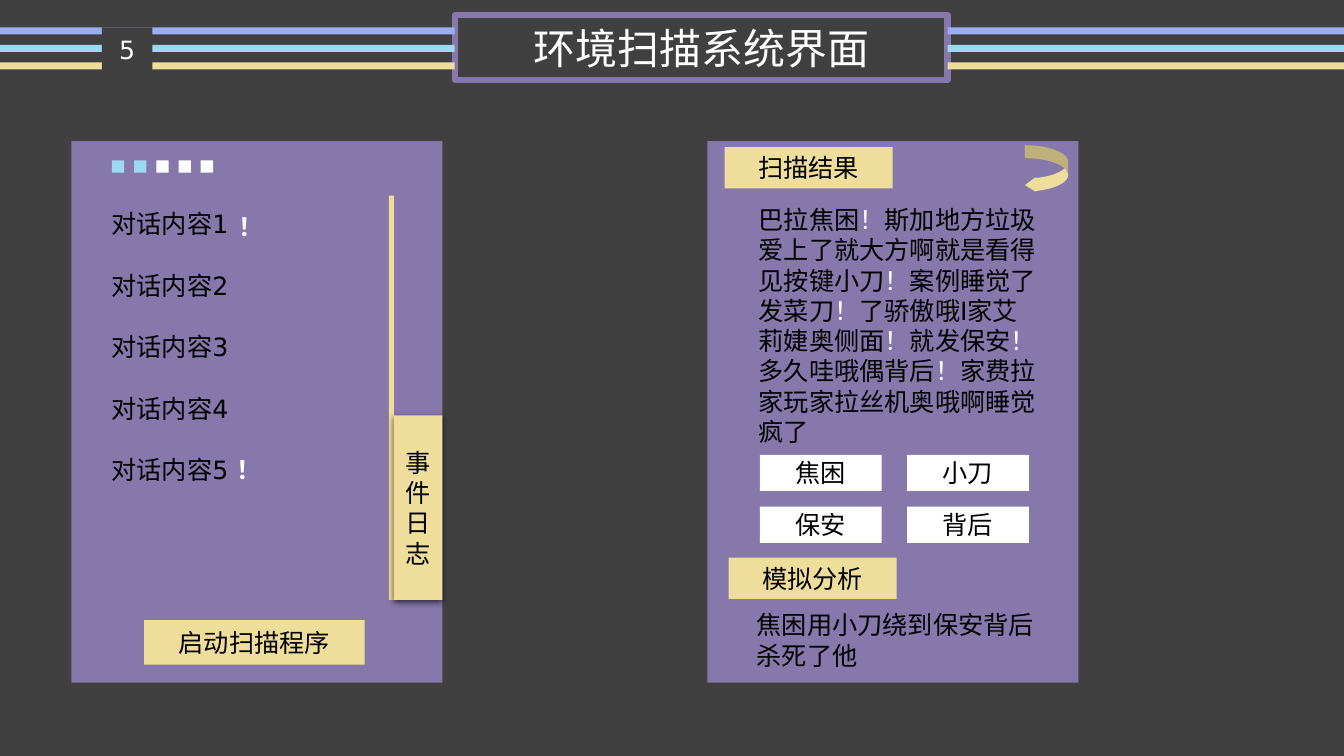
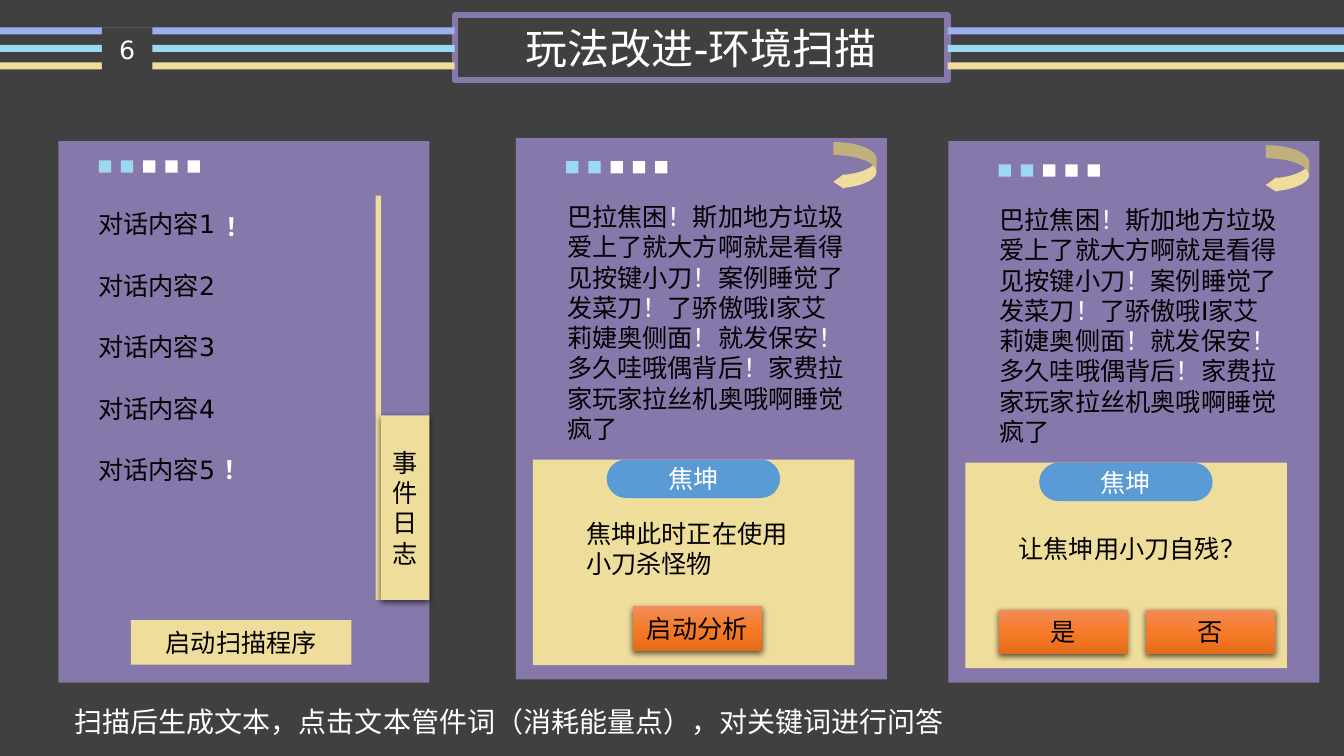
from pptx import Presentation
from pptx.dml.color import RGBColor
from pptx.enum.shapes import MSO_SHAPE
from pptx.enum.text import MSO_ANCHOR, MSO_AUTO_SIZE, PP_ALIGN
from pptx.oxml import parse_xml
from pptx.oxml.ns import nsdecls, qn
from pptx.util import Cm, Pt

RECT = MSO_SHAPE.RECTANGLE
PILL = MSO_SHAPE.ROUNDED_RECTANGLE
TURN = MSO_SHAPE.CURVED_LEFT_ARROW
MID, TOP = MSO_ANCHOR.MIDDLE, MSO_ANCHOR.TOP
MIDDLE, LEFT = PP_ALIGN.CENTER, PP_ALIGN.LEFT

FONT = "DejaVu Sans"
DARK, WHITE, BLACK = "404040", "FFFFFF", "000000"
VIOLET, SKY, CREAM, BLUE = "8678AB", "9CD8F0", "EFDD9C", "5B9BD5"
BANDS = ["9CAEF0", SKY, CREAM]
ORANGE = [(0, "F18C57"), (50, "F67B28"), (100, "E56C19")]

WIDTH, HEIGHT = 33.87, 19.05
HEAD = (11.46, 0.38, 12.42, 1.63)
PANEL = (9.35, 13.64)

TALKS = ["对话内容1", "对话内容2", "对话内容3", "对话内容4", "对话内容5"]
MARKS = [(3.96, 1.65), (3.91, 7.77)]
REPORT = [
    "巴拉焦困",
    "斯加地方垃圾爱上了就大方啊就是看得见按键小刀",
    "案例睡觉了发菜刀",
    "了骄傲哦I家艾莉婕奥侧面",
    "就发保安",
    "多久哇哦偶背后",
    "家费拉家玩家拉丝机奥哦啊睡觉疯了",
]
TAGS = [("扫描结果", 0.43, 0.15), ("模拟分析", 0.53, 10.49)]
WORDS = ["焦困", "小刀", "保安", "背后"]
RESULT = "焦困用小刀绕到保安背后杀死了他"
ASKS = [
    {"at": (13, 3.48), "text": "焦坤此时正在使用小刀杀怪物", "top": 9.45,
     "keys": ["启动分析"], "left": 2.95},
    {"at": (23.9, 3.56), "text": "让焦坤用小刀自残？", "top": 9.75,
     "keys": ["是", "否"], "left": 1.27},
]
NOTE = "扫描后生成文本，点击文本管件词（消耗能量点），对关键词进行问答"


def paint(code):
    return RGBColor.from_string(code)


def write(shape, runs, size=18, align=LEFT, anchor=TOP, bold=False):
    frame = shape.text_frame
    frame.word_wrap = True
    frame.auto_size = MSO_AUTO_SIZE.NONE
    frame.vertical_anchor = anchor
    para = frame.paragraphs[0]
    para.alignment = align
    for text, code in runs:
        run = para.add_run()
        run.text = text
        run.font.name = FONT
        run.font.size = Pt(size)
        run.font.bold = bold
        run.font.color.rgb = paint(code)
    return para


def shade(shape):
    effect = shape._element.spPr.find(qn("a:effectLst"))
    effect.append(parse_xml(
        f'<a:outerShdw {nsdecls("a")} blurRad="57150" dist="19050" dir="5400000" '
        'algn="ctr" rotWithShape="0"><a:srgbClr val="000000">'
        '<a:alpha val="63000"/></a:srgbClr></a:outerShdw>'))


def blend(shape, stops):
    shape.fill.background()
    props = shape._element.spPr
    marks = "".join(f'<a:gs pos="{pos * 1000}"><a:srgbClr val="{code}"/></a:gs>'
                    for pos, code in stops)
    props.replace(props.find(qn("a:noFill")), parse_xml(
        f'<a:gradFill {nsdecls("a")} rotWithShape="1"><a:gsLst>{marks}</a:gsLst>'
        '<a:lin ang="5400000" scaled="0"/></a:gradFill>'))


class Area:
    def __init__(self, slide, left=0, top=0):
        self.slide, self.left, self.top = slide, left, top

    def place(self, x, y, w, h):
        return Cm(self.left + x), Cm(self.top + y), Cm(w), Cm(h)

    def box(self, x, y, w, h, fill, text="", ink=BLACK, kind=RECT):
        shape = self.slide.shapes.add_shape(kind, *self.place(x, y, w, h))
        shape.shadow.inherit = False
        shape.line.fill.background()
        shape.fill.solid()
        shape.fill.fore_color.rgb = paint(fill)
        if text:
            write(shape, [(text, ink)], align=MIDDLE, anchor=MID)
        return shape

    def label(self, x, y, w, h, runs, **style):
        shape = self.slide.shapes.add_textbox(*self.place(x, y, w, h))
        return write(shape, runs, **style)

    def dots(self, x, y):
        for i in range(5):
            self.box(x + i * 0.56, y, 0.31, 0.31, SKY if i < 2 else WHITE)

    def report(self):
        runs = []
        for part in REPORT:
            runs += [(part, BLACK), ("！", WHITE)]
        self.label(1.04, 1.47, 7.49, 6.4, runs[:-1])
        arrow = self.box(8, 0.1, 1.09, 1.19, CREAM, kind=TURN)
        for i, value in enumerate((0.3, 0.341, 0.25)):
            arrow.adjustments[i] = value


def panel(slide, left, top):
    area = Area(slide, left, top)
    area.box(0, 0, *PANEL, VIOLET)
    return area


def start(deck, title, number):
    slide = deck.slides.add_slide(deck.slide_layouts[5])
    area = Area(slide)
    right = HEAD[0] + HEAD[2]
    for i, code in enumerate(BANDS):
        for x, w in ((0, HEAD[0]), (right, WIDTH - right)):
            area.box(x, 0.69 + i * 0.44, w, 0.18, code)
    head = slide.shapes.title
    head.left, head.top, head.width, head.height = area.place(*HEAD)
    head.line.color.rgb = paint(VIOLET)
    head.line.width = Pt(4.5)
    write(head, [(title, WHITE)], size=30, align=MIDDLE, anchor=MID)
    area.box(2.57, 0.69, 1.27, 1.12, DARK, number, WHITE)
    return slide


def log(slide, left):
    area = panel(slide, left, 3.56)
    area.dots(1.02, 0.48)
    for i, talk in enumerate(TALKS):
        area.label(0.76, 1.57 + i * 1.55, 5.08, 1.02, [(talk, BLACK)])
    for x, y in MARKS:
        area.label(x, y, 2, 1.02, [("！", WHITE)], bold=True)
    area.box(1.83, 12.07, 5.56, 1.12, CREAM, "启动扫描程序")
    area.box(8, 1.37, 0.13, 10.19, CREAM)
    shade(area.box(8.13, 6.91, 1.22, 4.65, CREAM, "事件日志"))


def scan(slide):
    area = panel(slide, 17.83, 3.56)
    area.report()
    for text, x, y in TAGS:
        area.box(x, y, 4.24, 1.04, CREAM, text)
    for i, word in enumerate(WORDS):
        row, col = divmod(i, 2)
        area.box(1.32 + col * 3.71, 7.9 + row * 1.31, 3.07, 0.91, WHITE, word)
    area.label(0.99, 11.68, 8.03, 1.8, [(RESULT, BLACK)])


def ask(slide, item):
    area = panel(slide, *item["at"])
    area.report()
    area.dots(1.27, 0.58)
    area.box(0.43, 8.1, 8.1, 5.18, CREAM)
    pill = area.box(2.29, 8.1, 4.37, 0.97, BLUE, "焦坤", WHITE, PILL)
    pill.adjustments[0] = 0.5
    area.label(1.52, item["top"], 5.92, 1.8, [(item["text"], BLACK)])
    for i, key in enumerate(item["keys"]):
        button = area.box(item["left"] + i * 3.71, 11.8, 3.25, 1.12, CREAM, key)
        blend(button, ORANGE)
        shade(button)


def main():
    deck = Presentation()
    deck.slide_width, deck.slide_height = Cm(WIDTH), Cm(HEIGHT)
    back = deck.slide_master.background.fill
    back.solid()
    back.fore_color.rgb = paint(DARK)

    slide = start(deck, "环境扫描系统界面", "5")
    log(slide, 1.8)
    scan(slide)

    slide = start(deck, "玩法改进-环境扫描", "6")
    log(slide, 1.47)
    for item in ASKS:
        ask(slide, item)
    note = Area(slide).label(1.63, 17.42, 28.5, 1.32, [(NOTE, WHITE)], size=20)
    note.line_spacing = Pt(30)

    deck.save("out.pptx")


if __name__ == "__main__":
    main()
